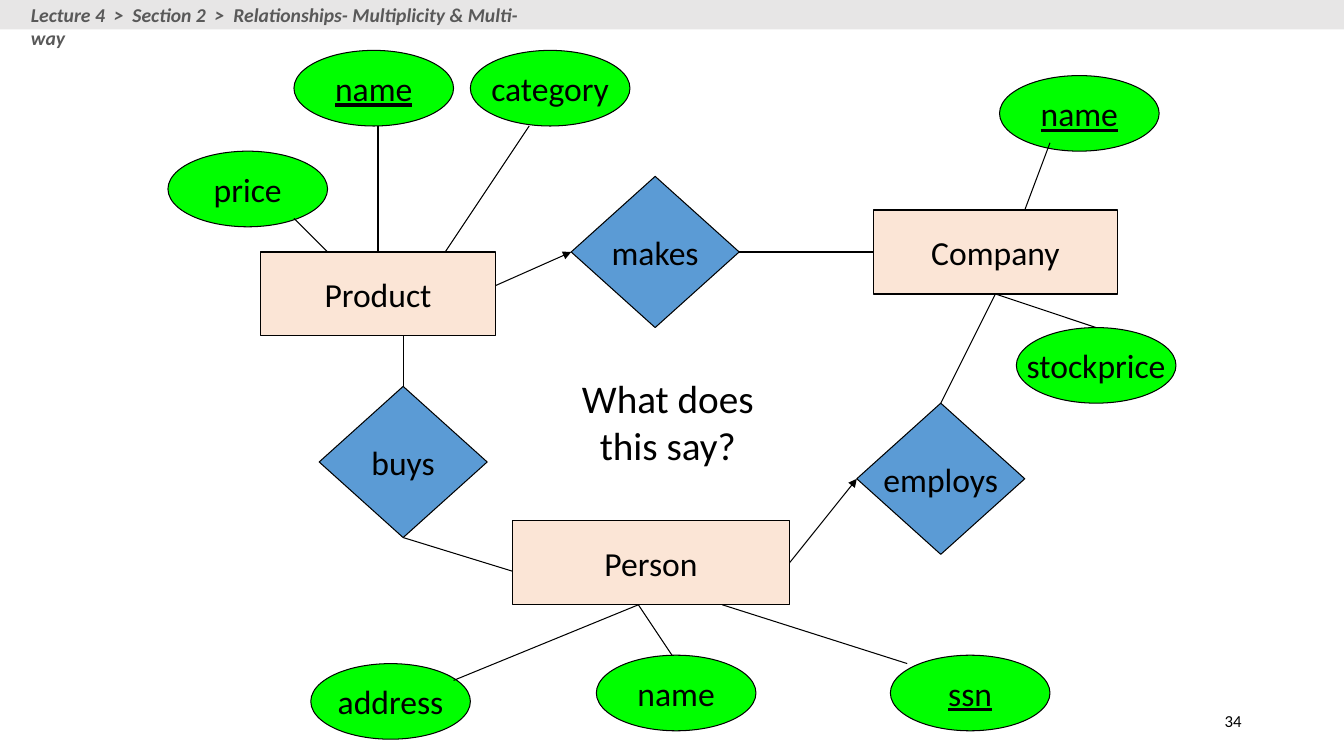
from lxml import etree
from pptx import Presentation
from pptx.dml.color import RGBColor
from pptx.enum.shapes import MSO_CONNECTOR, MSO_SHAPE
from pptx.enum.text import MSO_ANCHOR, PP_ALIGN
from pptx.oxml.ns import qn
from pptx.util import Cm, Pt

OVAL, RECT, DIAMOND = MSO_SHAPE.OVAL, MSO_SHAPE.RECTANGLE, MSO_SHAPE.DIAMOND
LINE = MSO_CONNECTOR.STRAIGHT
LEFT, MID, RIGHT = PP_ALIGN.LEFT, PP_ALIGN.CENTER, PP_ALIGN.RIGHT
TOP, CENTER = MSO_ANCHOR.TOP, MSO_ANCHOR.MIDDLE

COLORS = {"ink": "000000", "attr": "00FF00", "entity": "FBE5D6",
          "link": "5B9BD5", "band": "E7E6E6", "crumb": "595959"}
FONT = "Calibri"
CELL = 2.54 / 12  # the slide is a grid of 160 by 90 cells

# Places in cells, relative to the diagram box
ATTRS = [  # text, left, top, is key
    ("address", 17, 73, False), ("name", 51, 72, False), ("ssn", 86, 72, True),
    ("name", 15, 0, True), ("category", 36, 0, False),
    ("stockprice", 101, 33, False), ("name", 99, 3, True),
    ("price", 0, 12, False),
]
ENTITIES = [  # text, left, top, width
    ("Person", 41, 56, 33), ("Company", 84, 19, 29), ("Product", 11, 24, 28),
]
LINKS = [("buys", 18, 40), ("makes", 48, 15), ("employs", 82, 42)]
LINES = [  # from x, y, to x, y
    (68, 24, 84, 24), (19, 24, 15, 20), (25, 24, 25, 9), (33, 24, 43, 9),
    (28, 40, 28, 34), (28, 58, 41, 62), (102, 19, 105, 11),
    (56, 66, 34, 75), (56, 66, 60, 72), (66, 66, 88, 73),
    (92, 42, 98.5, 29), (98.5, 29, 110.5, 33),
]
ARROWS = [(39, 28, 48, 24), (74, 61, 82, 51)]


def cells(*nums):
    return [Cm(n * CELL) for n in nums]


def color(name):
    return RGBColor.from_string(COLORS[name])


def write(shape, text, size, align=MID, anchor=CENTER, ink="ink", wrap=True):
    frame = shape.text_frame
    frame.text = text
    frame.word_wrap = wrap
    frame.vertical_anchor = anchor
    para = frame.paragraphs[0]
    para.alignment = align
    font = para.runs[0].font
    font.name, font.size = FONT, Pt(size)
    font.color.rgb = color(ink)
    return font


def block(slide, kind, fill, *box):
    shape = slide.shapes.add_shape(kind, *cells(*box))
    shape.shadow.inherit = False
    shape.fill.solid()
    shape.fill.fore_color.rgb = color(fill)
    shape.line.fill.background()
    return shape


def node(slide, kind, fill, text, *box):
    shape = block(slide, kind, fill, *box)
    shape.line.color.rgb = color("ink")
    shape.line.width = Pt(0.75)
    return write(shape, text, 24, wrap=False)


def join(slide, x1, y1, x2, y2, arrow=False):
    line = slide.shapes.add_connector(LINE, *cells(x1, y1, x2, y2))
    line.line.color.rgb = color("ink")
    line.line.width = Pt(0.75)
    if arrow:
        etree.SubElement(line.line._get_or_add_ln(), qn("a:tailEnd"),
                         type="triangle")
    etree.SubElement(line._element.spPr, qn("a:effectLst"))


def label(slide, text, size, *box, **style):
    shape = slide.shapes.add_textbox(*cells(*box))
    return write(shape, text, size, **style)


def header(slide, x, y, w, h):
    block(slide, RECT, "band", x, y, w, h)
    font = label(slide, "Lecture 4  >  Section 2  >  "
                 "Relationships- Multiplicity & Multi-way", 14,
                 x + 2.5, y - 0.25, 62.5, 4,
                 align=LEFT, anchor=TOP, ink="crumb")
    font.bold = font.italic = True


def diagram(slide, x, y):
    # Entities, relationships and attributes
    for text, dx, dy, w in ENTITIES:
        node(slide, RECT, "entity", text, x + dx, y + dy, w, 10)
    for text, dx, dy in LINKS:
        node(slide, DIAMOND, "link", text, x + dx, y + dy, 20, 18)
    for text, dx, dy, key in ATTRS:
        font = node(slide, OVAL, "attr", text, x + dx, y + dy, 19, 9)
        if key:
            font.underline = True
    # Lines and arrows
    for ends, arrow in ((LINES, False), (ARROWS, True)):
        for x1, y1, x2, y2 in ends:
            join(slide, x + x1, y + y1, x + x2, y + y2, arrow)
    # Question in the middle
    label(slide, "What does this say?", 28, x + 47, y + 38, 25, 12.5,
          anchor=TOP)


def footer(slide, x, y, w, h):
    label(slide, "34", 12, x, y, w, h, align=RIGHT)


def main():
    deck = Presentation()
    deck.slide_width, deck.slide_height = cells(160, 90)
    slide = deck.slides.add_slide(deck.slide_layouts[6])
    footer(slide, 113, 83.4, 36, 4.8)
    diagram(slide, 20, 6)
    header(slide, 0, 0, 160, 3.5)
    deck.save("out.pptx")


if __name__ == "__main__":
    main()
